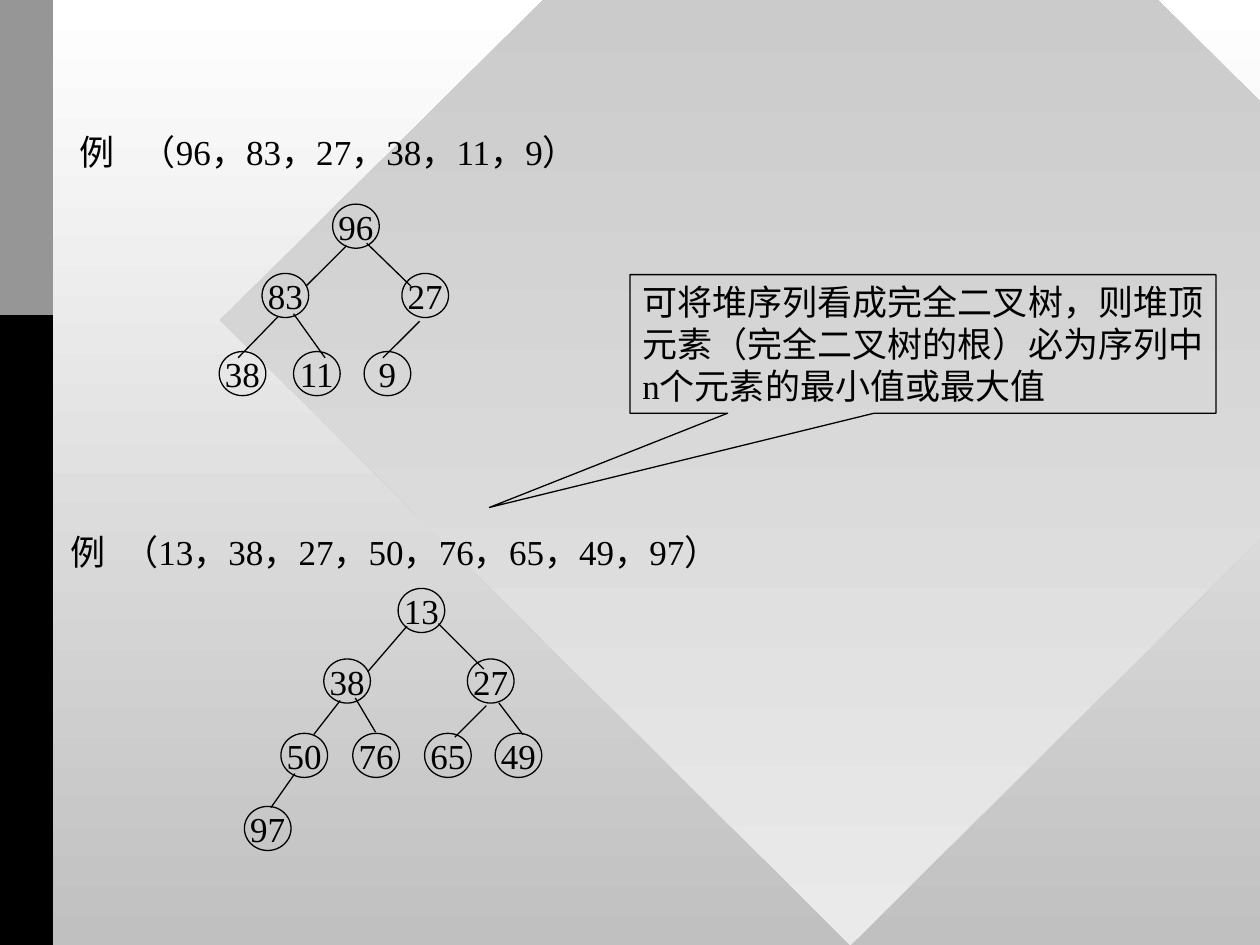
from lxml.etree import SubElement
from pptx import Presentation
from pptx.dml.color import RGBColor
from pptx.enum.shapes import MSO_CONNECTOR, MSO_SHAPE
from pptx.enum.text import MSO_ANCHOR, PP_ALIGN
from pptx.oxml.ns import qn
from pptx.util import Inches, Pt

HUES = {"ink": "010000", "black": "000000", "gray": "969696",
        "white": "FFFFFF", "silver": "C0C0C0", "pale": "EAEAEA"}
FONT = "Times New Roman"
SIZE = 20
NODE = (0.37, 0.35)


def color(name):
    return RGBColor.from_string(HUES[name])


def write(shape, lines, align):
    frame = shape.text_frame
    frame.text = "\n".join(lines)
    frame.word_wrap = False
    for para in frame.paragraphs:
        para.alignment = align
        para.font.name = FONT
        para.font.size = Pt(SIZE)
        para.font.color.rgb = color("ink")


deck = Presentation()
deck.slide_width, deck.slide_height = Inches(10), Inches(7.5)
slide = deck.slides.add_slide(deck.slide_layouts[6])
shapes = slide.shapes

gem = shapes.add_shape(MSO_SHAPE.DIAMOND, Inches(1.75), Inches(-2.42), Inches(10), Inches(9.92))
gem.shadow.inherit = False
gem.line.fill.background()
for fill, top, base in ((slide.background.fill, "white", "silver"), (gem.fill, "silver", "pale")):
    fill.gradient()
    fill.gradient_angle = 270
    for stop, spot, hue in zip(fill.gradient_stops, (0, 1), (top, base)):
        stop.position = spot
        stop.color.rgb = color(hue)

for high, hue in ((7.5, "black"), (2.5, "gray")):
    bar = shapes.add_shape(MSO_SHAPE.RECTANGLE, 0, 0, Inches(0.42), Inches(high))
    bar.shadow.inherit = False
    bar.fill.solid()
    bar.fill.fore_color.rgb = color(hue)
    bar.line.fill.background()

trees = [
    {
        "title": "例\t（96，83，27，38，11，9）",
        "box": (0.53, 0.99, 4.94, 0.44),
        "tab": 0.49,
        "rows": [
            (1.62, [("96", 2.64)]),
            (2.17, [("83", 2.08), ("27", 3.19)]),
            (2.79, [("38", 1.74), ("11", 2.33), ("9", 2.89)]),
        ],
        "edges": [
            (2.75, 1.95, 2.43, 2.27), (2.91, 1.93, 3.26, 2.27),
            (2.21, 2.51, 1.89, 2.84), (2.33, 2.49, 2.58, 2.84),
            (3.33, 2.55, 3.04, 2.84),
        ],
    },
    {
        "title": "例\t（13，38，27，50，76，65，49，97）",
        "box": (0.46, 4.16, 6.4, 0.44),
        "tab": 0.42,
        "rows": [
            (4.67, [("13", 3.16)]),
            (5.23, [("38", 2.57), ("27", 3.71)]),
            (5.82, [("50", 2.23), ("76", 2.8), ("65", 3.37), ("49", 3.93)]),
            (6.4, [("97", 1.94)]),
        ],
        "edges": [
            (3.23, 4.97, 2.92, 5.33), (3.48, 4.95, 3.84, 5.31),
            (2.7, 5.56, 2.49, 5.83), (2.82, 5.54, 2.98, 5.81),
            (3.86, 5.6, 3.61, 5.85), (3.96, 5.58, 4.15, 5.83),
            (2.34, 6.14, 2.15, 6.41),
        ],
    },
]

for tree in trees:
    title = shapes.add_textbox(*map(Inches, tree["box"]))
    write(title, [tree["title"]], PP_ALIGN.LEFT)
    props = title.text_frame.paragraphs[0]._p.get_or_add_pPr()
    tabs = SubElement(props, qn("a:tabLst"))
    SubElement(tabs, qn("a:tab"), pos=str(Inches(tree["tab"])), algn="l")
    props.insert(0, tabs)

    group = shapes.add_group_shape().shapes
    for top, nodes in tree["rows"]:
        for label, left in nodes:
            node = group.add_shape(MSO_SHAPE.OVAL, *map(Inches, (left, top, *NODE)))
            node.shadow.inherit = False
            node.fill.background()
            node.line.color.rgb = color("ink")
            node.line.width = Pt(0.75)
            write(node, [label], PP_ALIGN.CENTER)
            node.text_frame.vertical_anchor = MSO_ANCHOR.MIDDLE
    for ends in tree["edges"]:
        edge = group.add_connector(MSO_CONNECTOR.STRAIGHT, *map(Inches, ends))
        edge.line.color.rgb = color("ink")
        edge.line.width = Pt(0.75)
        SubElement(edge._element.spPr, qn("a:effectLst"))

note = shapes.add_shape(MSO_SHAPE.RECTANGULAR_CALLOUT, Inches(5), Inches(2.18), Inches(4.65), Inches(1.1))
note.adjustments[0], note.adjustments[1] = -0.74, 1.18
note.shadow.inherit = False
note.fill.background()
note.line.color.rgb = color("ink")
note.line.width = Pt(0.75)
write(note, ["可将堆序列看成完全二叉树，则堆顶",
             "元素（完全二叉树的根）必为序列中",
             "n个元素的最小值或最大值"], PP_ALIGN.LEFT)
note.text_frame.vertical_anchor = MSO_ANCHOR.MIDDLE

deck.save("out.pptx")
